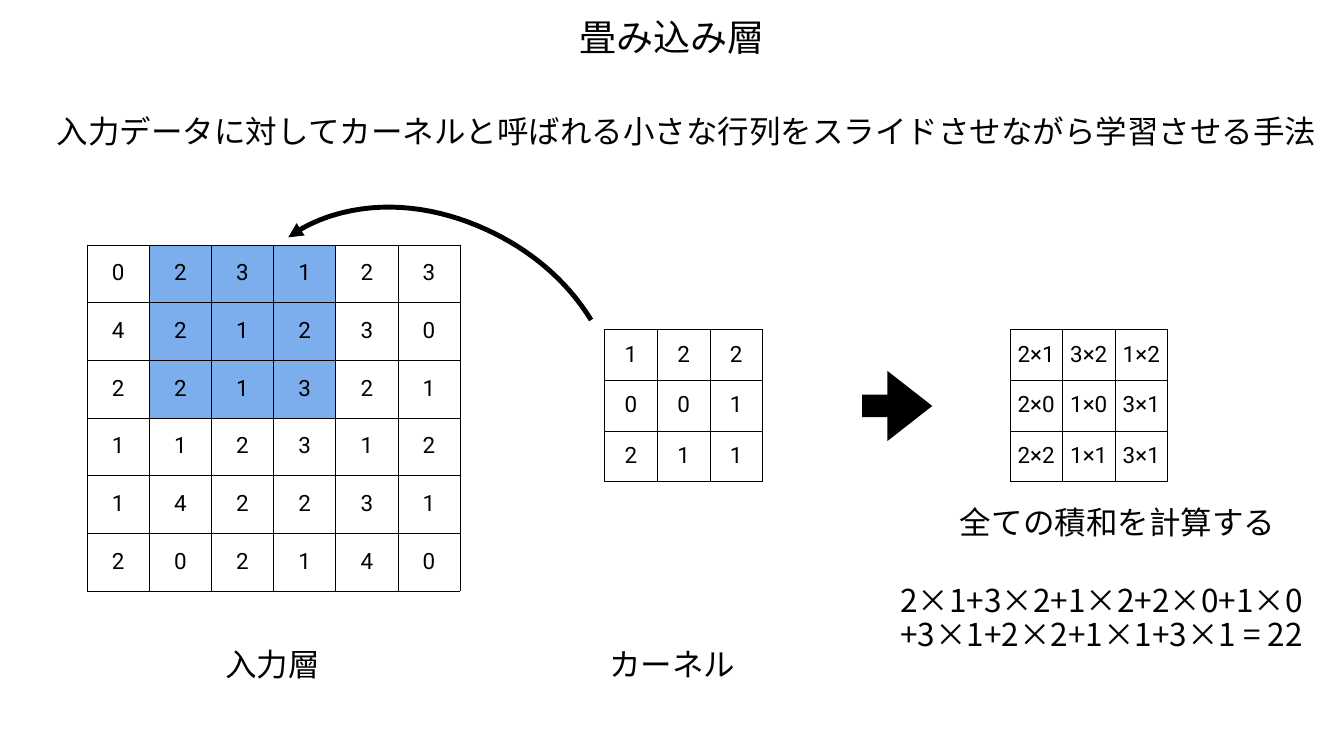
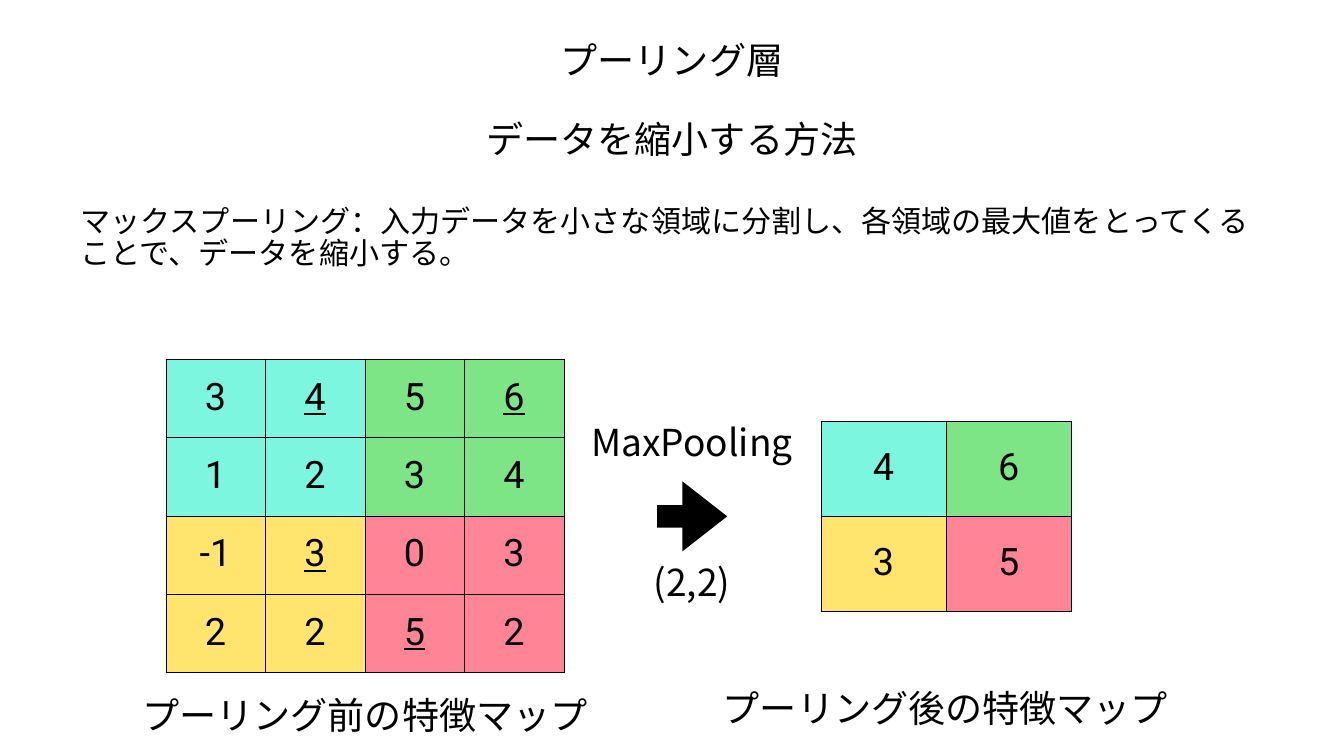
from dataclasses import dataclass

from lxml.etree import SubElement
from pptx import Presentation
from pptx.dml.color import RGBColor
from pptx.enum.shapes import MSO_SHAPE as Preset
from pptx.enum.text import MSO_ANCHOR as Anchor, MSO_AUTO_SIZE as AutoSize, PP_ALIGN as Align
from pptx.oxml import parse_xml
from pptx.oxml.ns import nsdecls, qn
from pptx.util import Inches, Pt


@dataclass(frozen=True)
class Theme:
    text_font: str = "Noto Sans CJK JP"
    number_font: str = "Roboto"
    ink: str = "000000"
    paper: str = "FFFFFF"
    window: str = "7CADED"
    pools: tuple = (("7CF6DF", "7EE587"), ("FFE46D", "FF8495"))
    title_size: int = 53
    label_size: int = 45
    lead_size: int = 43
    cell_size: int = 32
    pool_size: int = 54
    line_spacing: float = 0.9
    inset: float = 0.06
    border: int = 1
    curve_width: int = 7


@dataclass(frozen=True)
class Box:
    left: float
    top: float
    width: float
    height: float

    def inner(self, dx, dy, width, height):
        """A box whose corner is offset from this one's."""
        return Box(self.left + dx, self.top + dy, width, height)

    def lengths(self):
        return [Inches(value) for value in (self.left, self.top, self.width, self.height)]


THEME = Theme()
POOL = 2

INPUT_VALUES = [
    [0, 2, 3, 1, 2, 3],
    [4, 2, 1, 2, 3, 0],
    [2, 2, 1, 3, 2, 1],
    [1, 1, 2, 3, 1, 2],
    [1, 4, 2, 2, 3, 1],
    [2, 0, 2, 1, 4, 0],
]
KERNEL_VALUES = [[1, 2, 2], [0, 0, 1], [2, 1, 1]]
PRODUCTS = [
    ["2×1", "3×2", "1×2"],
    ["2×0", "1×0", "3×1"],
    ["2×2", "1×1", "3×1"],
]
FEATURE_MAP = [[3, 4, 5, 6], [1, 2, 3, 4], [-1, 3, 0, 3], [2, 2, 5, 2]]


def format_paragraph(paragraph, size, font_name, align, underline=False):
    paragraph.alignment = align
    paragraph.line_spacing = THEME.line_spacing
    paragraph.space_before = paragraph.space_after = Pt(0)
    for run in paragraph.runs:
        font = run.font
        font.size = Pt(size)
        font.name = font_name
        font.underline = underline
        font.color.rgb = RGBColor.from_string(THEME.ink)
        SubElement(run._r.get_or_add_rPr(), qn("a:ea")).set("typeface", font_name)


def set_margins(target):
    """Give a cell or a text frame the common inset on all sides."""
    target.margin_left = target.margin_right = Inches(THEME.inset)
    target.margin_top = target.margin_bottom = Inches(THEME.inset)


def fill_text(shape, box, text, size, align=Align.CENTER, wrap=False):
    shape.left, shape.top, shape.width, shape.height = box.lengths()
    text_frame = shape.text_frame
    text_frame.text = text
    text_frame.word_wrap = wrap
    text_frame.auto_size = AutoSize.SHAPE_TO_FIT_TEXT
    text_frame.vertical_anchor = Anchor.MIDDLE
    set_margins(text_frame)
    for paragraph in text_frame.paragraphs:
        format_paragraph(paragraph, size, THEME.text_font, align)


def add_label(slide, box, text, size=THEME.title_size, align=Align.CENTER):
    fill_text(slide.shapes.add_textbox(*box.lengths()), box, text, size, align)


def add_titled_slide(presentation, title, title_box, lead, lead_box, lead_size, wrap):
    """Add a slide with its title and an unbulleted lead sentence."""
    slide = presentation.slides.add_slide(presentation.slide_layouts[1])
    fill_text(slide.shapes.title, title_box, title, THEME.title_size)
    body = slide.placeholders[1]
    fill_text(body, lead_box, lead, lead_size, Align.LEFT, wrap)
    for paragraph in body.text_frame.paragraphs:
        properties = paragraph._p.get_or_add_pPr()
        properties.set("marL", "0")
        properties.set("indent", "0")
        SubElement(properties, qn("a:buNone"))
    return slide


def add_borders(cell):
    properties = cell._tc.get_or_add_tcPr()
    for index, side in enumerate(("lnL", "lnR", "lnT", "lnB")):
        properties.insert(index, parse_xml(
            f'<a:{side} {nsdecls("a")} w="{Pt(THEME.border)}"><a:solidFill>'
            f'<a:srgbClr val="{THEME.ink}"/></a:solidFill></a:{side}>'))


def add_grid(slide, box, values, size, color_at=None, underline_at=None):
    """Draw a matrix of equal cells; the two rules take a row and a column."""
    row_count, column_count = len(values), len(values[0])
    table = slide.shapes.add_table(row_count, column_count, *box.lengths()).table
    table.first_row = table.horz_banding = False
    for column in table.columns:
        column.width = Inches(box.width / column_count)
    for row in table.rows:
        row.height = Inches(box.height / row_count)
    for row, row_values in enumerate(values):
        for column, value in enumerate(row_values):
            cell = table.cell(row, column)
            cell.text_frame.text = str(value)
            cell.vertical_anchor = Anchor.MIDDLE
            set_margins(cell)
            underline = bool(underline_at and underline_at(row, column))
            format_paragraph(cell.text_frame.paragraphs[0], size, THEME.number_font,
                             Align.CENTER, underline)
            color = color_at(row, column) if color_at else THEME.paper
            cell.fill.solid()
            cell.fill.fore_color.rgb = RGBColor.from_string(color)
            add_borders(cell)


def add_block_arrow(slide, box):
    arrow = slide.shapes.add_shape(Preset.RIGHT_ARROW, *box.lengths())
    arrow.adjustments[0], arrow.adjustments[1] = 0.32, 0.64
    arrow.shadow.inherit = False
    arrow.fill.solid()
    arrow.fill.fore_color.rgb = RGBColor.from_string(THEME.ink)
    arrow.line.fill.background()


def bezier_points(start, control_a, control_b, end, steps=16):
    for step in range(1, steps + 1):
        t = step / steps
        weights = ((1 - t) ** 3, 3 * t * (1 - t) ** 2, 3 * t ** 2 * (1 - t), t ** 3)
        yield tuple(sum(weight * point[axis] for weight, point
                        in zip(weights, (start, control_a, control_b, end)))
                    for axis in (0, 1))


def add_curved_arrow(slide, box):
    """Sweep from the box's lower right corner over to its left edge."""
    knots = [(6.01, 2.24), (5.52, 1.44), (4.78, 0.83), (3.92, 0.44), (3, 0.02),
             (1.91, -0.16), (0.86, 0.17), (0.55, 0.27), (0.26, 0.41), (0, 0.6)]
    points = [(Inches(box.left + x), Inches(box.top + y)) for x, y in knots]
    builder = slide.shapes.build_freeform(*points[0])
    curve = [point for first in range(0, len(points) - 1, 3)
             for point in bezier_points(*points[first:first + 4])]
    builder.add_line_segments(curve, close=False)
    shape = builder.convert_to_shape()
    shape.shadow.inherit = False
    shape.fill.background()
    shape.line.width = Pt(THEME.curve_width)
    shape.line.color.rgb = RGBColor.from_string(THEME.ink)
    SubElement(shape.line._get_or_add_ln(), qn("a:tailEnd")).set("type", "triangle")


def add_input_layer(slide, box):
    def window_color(row, column):
        return THEME.window if row < 3 and 1 <= column <= 3 else THEME.paper

    add_grid(slide, box.inner(0, 0, 7.4, 6.87), INPUT_VALUES, THEME.cell_size, window_color)
    add_label(slide, box.inner(2.68, 7.97, 2.01, 0.79), "入力層", THEME.label_size, Align.LEFT)


def add_kernel(slide, box):
    add_grid(slide, box.inner(0, 0, 3.13, 3.02), KERNEL_VALUES, THEME.cell_size)
    add_label(slide, box.inner(0.03, 6.29, 2.64, 0.79), "カーネル", THEME.label_size, Align.LEFT)


def add_product_sum(slide, box):
    add_grid(slide, box.inner(2.23, 0, 3.13, 3.02), PRODUCTS, THEME.cell_size)
    add_label(slide, box.inner(1.18, 3.46, 6.42, 0.79), "全ての積和を計算する",
              THEME.label_size, Align.LEFT)
    add_label(slide, box.inner(0, 5.01, 8.46, 1.48),
              "2×1+3×2+1×2+2×0+1×0\n+3×1+2×2+1×1+3×1 = 22", THEME.label_size, Align.LEFT)


def build_convolution_slide(presentation):
    slide = add_titled_slide(
        presentation, "畳み込み層", Box(11.42, 0.33, 3.83, 0.91),
        "入力データに対してカーネルと呼ばれる小さな行列をスライドさせながら学習させる手法",
        Box(1.07, 2.24, 25.36, 0.79), THEME.label_size, wrap=False)
    add_input_layer(slide, Box(1.73, 4.86, 7.4, 8.76))
    add_kernel(slide, Box(12, 6.54, 3.13, 7.08))
    add_curved_arrow(slide, Box(5.72, 4.11, 6.01, 2.24))
    add_block_arrow(slide, Box(17.11, 7.36, 1.39, 1.39))
    add_product_sum(slide, Box(17.81, 6.54, 8.46, 6.49))


def pool_maxima(values):
    starts = range(0, len(values), POOL)
    return [[max(values[row + i][column + j] for i in range(POOL) for j in range(POOL))
             for column in starts] for row in starts]


def add_map_before(slide, box):
    maxima = pool_maxima(FEATURE_MAP)

    def pool_color(row, column):
        return THEME.pools[row // POOL][column // POOL]

    def is_maximum(row, column):
        return FEATURE_MAP[row][column] == maxima[row // POOL][column // POOL]

    add_grid(slide, box.inner(0.56, 0, 7.9, 6.21), FEATURE_MAP, THEME.pool_size,
             pool_color, is_maximum)
    add_label(slide, box.inner(0, 6.66, 9.03, 0.91), "プーリング前の特徴マップ")


def add_pooling_step(slide, box):
    add_label(slide, box.inner(0, 0, 4.31, 0.91), "MaxPooling")
    add_block_arrow(slide, box.inner(1.46, 1.19, 1.39, 1.39))
    add_label(slide, box.inner(1.23, 2.78, 1.85, 0.91), "(2,2)")


def add_map_after(slide, box):
    add_grid(slide, box.inner(2.19, 0, 4.97, 3.76), pool_maxima(FEATURE_MAP), THEME.pool_size,
             lambda row, column: THEME.pools[row][column])
    add_label(slide, box.inner(0, 5.29, 9.33, 0.91), "プーリング後の特徴マップ")


def build_pooling_slide(presentation):
    slide = add_titled_slide(
        presentation, "プーリング層", Box(11.05, 0.79, 4.57, 0.91),
        "マックスプーリング：入力データを小さな領域に分割し、各領域の最大値をとってくることで、データを縮小する。",
        Box(1.54, 4.03, 23.59, 1.41), THEME.lead_size, wrap=True)
    add_label(slide, Box(9.56, 2.36, 7.55, 0.91), "データを縮小する方法")
    add_map_before(slide, Box(2.73, 7.13, 9.03, 7.57))
    add_pooling_step(slide, Box(11.58, 8.36, 4.31, 3.69))
    add_map_after(slide, Box(14.1, 8.36, 9.33, 6.2))


def main():
    presentation = Presentation()
    presentation.slide_width, presentation.slide_height = Inches(26.67), Inches(15)
    build_convolution_slide(presentation)
    build_pooling_slide(presentation)
    presentation.save("out.pptx")


if __name__ == "__main__":
    main()
